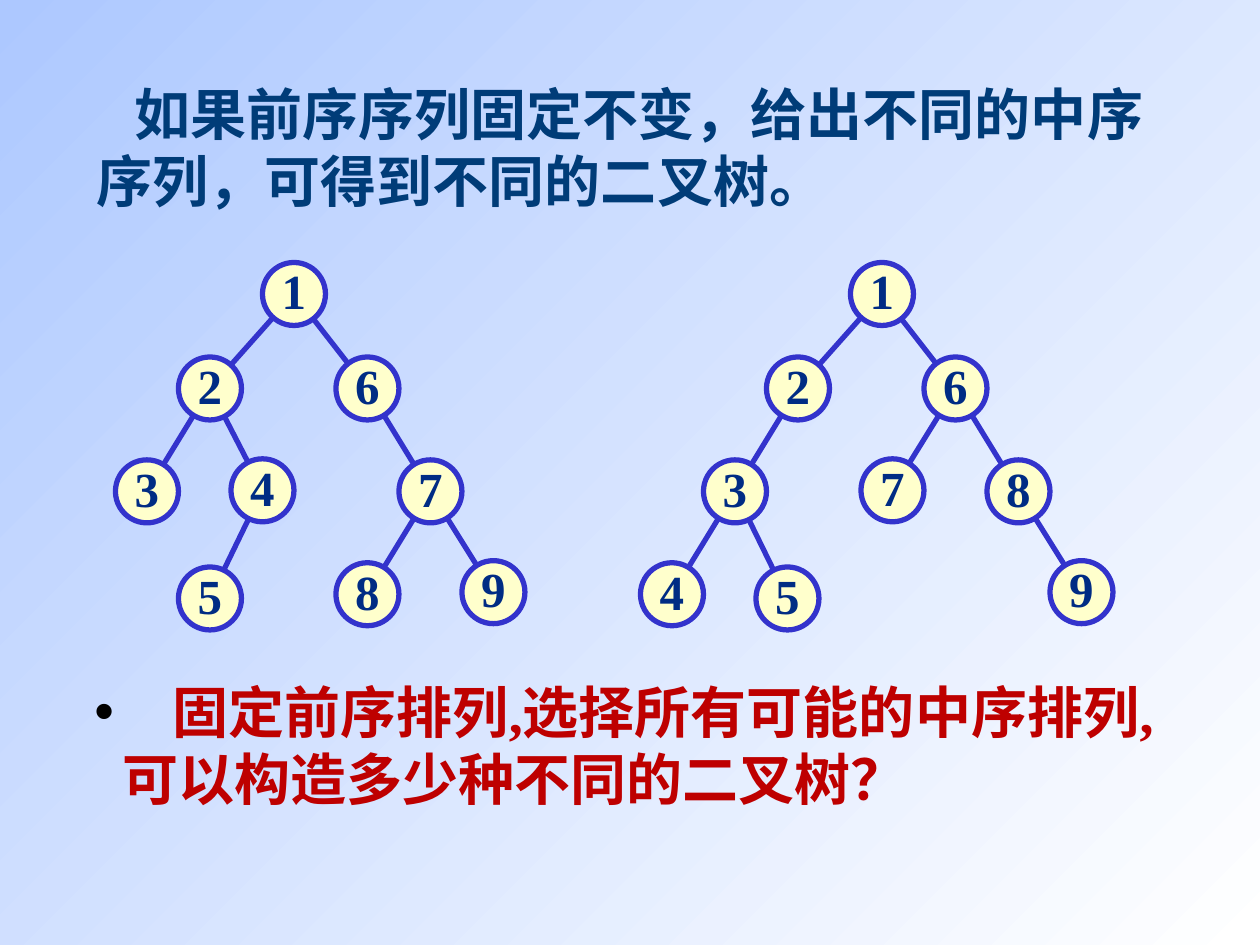
from math import hypot

from lxml.etree import SubElement
from pptx import Presentation
from pptx.dml.color import RGBColor
from pptx.enum.shapes import MSO_CONNECTOR as Connector, MSO_SHAPE as Shape
from pptx.enum.text import MSO_ANCHOR as Anchor, PP_ALIGN as Align
from pptx.oxml.ns import qn
from pptx.util import Inches, Pt

COLORS = {
    "sky": "ADC8FF", "white": "FFFFFF", "heading": "003C78", "question": "BE0000",
    "bullet": "000000", "edge": "3333CC", "node": "FFFFCC", "label": "002C84",
}
GRID = 1 / 12
NODE = 6 * GRID
TRIM = 0.19

LEFT_TREE = {
    "nodes": {1: (14, 0), 2: (6, 9), 6: (21, 9), 3: (0, 18.8), 4: (11, 18.7),
              7: (27, 18.8), 5: (6, 29), 8: (21, 28.6), 9: (33, 28.4)},
    "edges": [(1, 2), (1, 6), (2, 3), (2, 4), (4, 5), (6, 7), (7, 8), (7, 9)],
}
RIGHT_TREE = {
    "nodes": {1: (20, 0), 2: (12, 9), 6: (27, 9), 3: (6, 18.8), 7: (21, 18.7),
              8: (33, 18.8), 4: (0, 28.6), 5: (11, 29), 9: (39, 28.4)},
    "edges": [(1, 2), (1, 6), (2, 3), (3, 4), (3, 5), (6, 7), (6, 8), (8, 9)],
}


def color(name):
    return RGBColor.from_string(COLORS[name])


def style_font(font, size, face, name):
    font.size = Pt(size)
    font.name = face
    font.bold = True
    font.color.rgb = color(name)


def paint_background(page):
    fill = page.background.fill
    fill.gradient()
    fill.gradient_angle = 315
    for stop, name in zip(fill.gradient_stops, ("sky", "white")):
        stop.color.rgb = color(name)


def add_paragraph_box(page, box, text, margin, indent):
    frame = page.shapes.add_textbox(*map(Inches, box)).text_frame
    frame.word_wrap = True
    frame.text = text
    para = frame.paragraphs[0]
    properties = para._p.get_or_add_pPr()
    properties.set("marL", str(Inches(margin)))
    properties.set("indent", str(Inches(indent)))
    return para, properties


def add_heading(page, box, text):
    para, _ = add_paragraph_box(page, box, text, 0, 0.3)
    style_font(para.runs[0].font, 32, "Arial", "heading")


def add_question(page, box, text):
    para, properties = add_paragraph_box(page, box, text, 0.22, -0.22)
    tint = SubElement(properties, qn("a:buClr"))
    SubElement(tint, qn("a:srgbClr"), val=COLORS["bullet"])
    SubElement(properties, qn("a:buFont"), typeface="Arial")
    SubElement(properties, qn("a:buChar"), char="•")
    tabs = SubElement(properties, qn("a:tabLst"))
    SubElement(tabs, qn("a:tab"), pos=str(Inches(0.62)), algn="l")
    for span in para.runs:
        style_font(span.font, 32, "Times New Roman", "question")


def add_edge(page, start, end):
    length = hypot(end[0] - start[0], end[1] - start[1])
    step = [TRIM * (b - a) / length for a, b in zip(start, end)]
    points = [start[0] + step[0], start[1] + step[1], end[0] - step[0], end[1] - step[1]]
    edge = page.shapes.add_connector(Connector.STRAIGHT, *map(Inches, points))
    edge.line.color.rgb = color("edge")
    edge.line.width = Pt(3)
    SubElement(edge._element.spPr, qn("a:effectLst"))


def add_node(page, center, label):
    left, top = (value - NODE / 2 for value in center)
    node = page.shapes.add_shape(Shape.OVAL, *map(Inches, (left, top, NODE, NODE)))
    node.shadow.inherit = False
    node.fill.solid()
    node.fill.fore_color.rgb = color("node")
    node.line.color.rgb = color("edge")
    node.line.width = Pt(3)
    frame = node.text_frame
    frame.word_wrap = False
    frame.vertical_anchor = Anchor.MIDDLE
    frame.margin_left = frame.margin_right = frame.margin_top = 0
    frame.margin_bottom = Inches(0.06)
    frame.text = str(label)
    para = frame.paragraphs[0]
    para.alignment = Align.CENTER
    style_font(para.runs[0].font, 28, "Times New Roman", "label")


def add_tree(page, origin, tree):
    centers = {
        label: tuple((start + offset) * GRID + NODE / 2 for start, offset in zip(origin, cell))
        for label, cell in tree["nodes"].items()
    }
    for parent, child in tree["edges"]:
        add_edge(page, centers[parent], centers[child])
    for label, center in centers.items():
        add_node(page, center, label)


def main():
    deck = Presentation()
    deck.slide_width, deck.slide_height = Inches(10), Inches(7.5)
    page = deck.slides.add_slide(deck.slide_layouts[6])
    paint_background(page)
    add_heading(page, (0.67, 0.58, 8.75, 1.17),
                "如果前序序列固定不变，给出不同的中序序列，可得到不同的二叉树。")
    add_tree(page, (11, 25), LEFT_TREE)
    add_tree(page, (61, 25), RIGHT_TREE)
    add_question(page, (0.65, 5.33, 8.68, 1.17),
                 "\t固定前序排列,选择所有可能的中序排列,可以构造多少种不同的二叉树？")
    deck.save("out.pptx")


if __name__ == "__main__":
    main()
